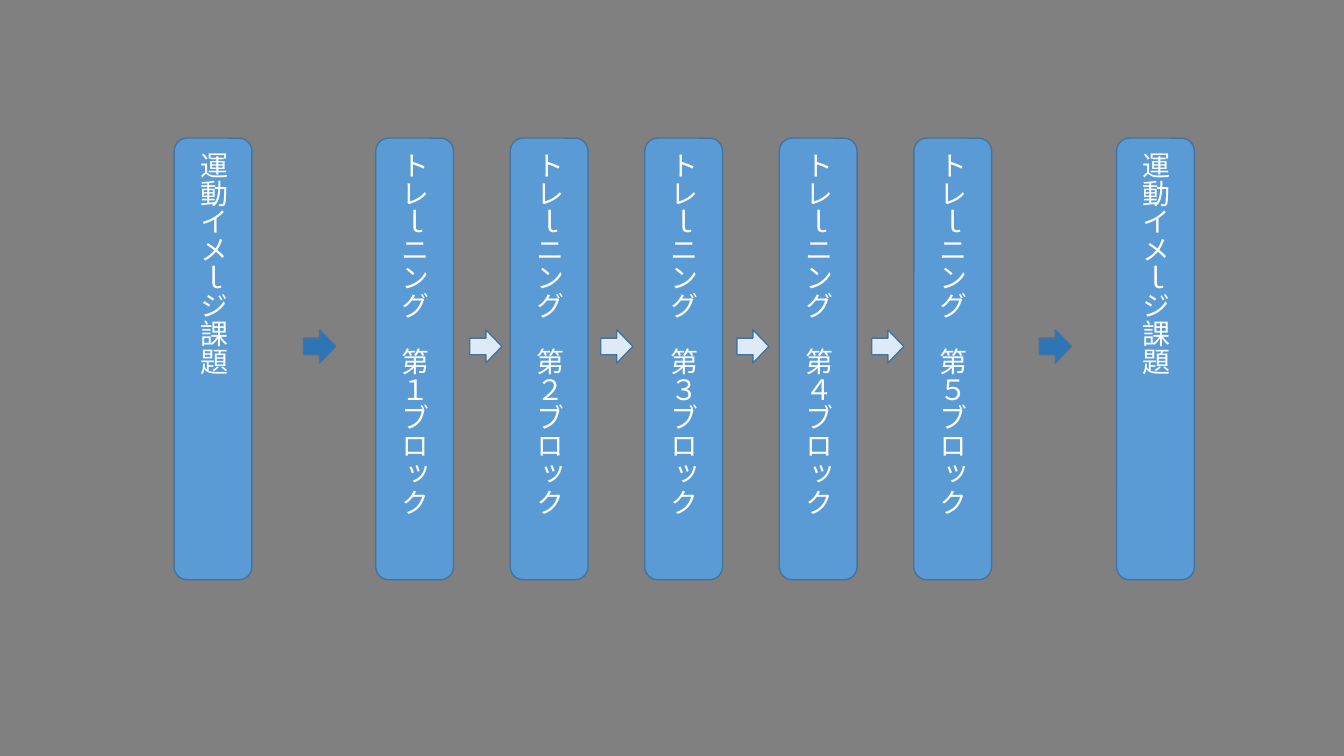
"""Builds a slide showing a training schedule as vertical blocks joined by arrows."""
from dataclasses import dataclass

from lxml import etree
from pptx import Presentation
from pptx.dml.color import RGBColor
from pptx.enum.shapes import MSO_SHAPE
from pptx.enum.text import MSO_ANCHOR, PP_ALIGN
from pptx.oxml.ns import qn
from pptx.util import Cm, Pt

ROUNDED = MSO_SHAPE.ROUNDED_RECTANGLE
ARROW = MSO_SHAPE.RIGHT_ARROW
MIDDLE = MSO_ANCHOR.MIDDLE
CENTER = PP_ALIGN.CENTER


@dataclass(frozen=True)
class Theme:
    background: RGBColor = RGBColor.from_string("808080")
    block: RGBColor = RGBColor.from_string("5B9BD5")
    outline: RGBColor = RGBColor.from_string("43739E")
    phase_arrow: RGBColor = RGBColor.from_string("2E75B6")
    block_arrow: RGBColor = RGBColor.from_string("DEEBF7")
    text: RGBColor = RGBColor.from_string("FFFFFF")
    font: str = "Noto Sans CJK JP"
    size: Pt = Pt(20)
    line: Pt = Pt(1)


theme = Theme()


def add_outlined(slide, kind, left, top, width, height, color):
    shape = slide.shapes.add_shape(kind, Cm(left), Cm(top), Cm(width), Cm(height))
    shape.shadow.inherit = False
    shape.fill.solid()
    shape.fill.fore_color.rgb = color
    shape.line.color.rgb = theme.outline
    shape.line.width = theme.line
    return shape


presentation = Presentation()
presentation.slide_width = Cm(33.87)
presentation.slide_height = Cm(19.05)
slide = presentation.slides.add_slide(presentation.slide_layouts[6])
slide.background.fill.solid()
slide.background.fill.fore_color.rgb = theme.background

imagery_task = "運動イメｌジ課題"
blocks = [(4.39, imagery_task), (28.14, imagery_task)]
blocks += [
    (9.47 + 3.39 * index, f"トレｌニング　第{number}ブロック")
    for index, number in enumerate("１２３４５")
]
for left, label in blocks:
    block = add_outlined(slide, ROUNDED, left, 3.48, 1.96, 11.13, theme.block)
    frame = block.text_frame
    frame.word_wrap = True
    frame.vertical_anchor = MIDDLE
    block.element.txBody.find(qn("a:bodyPr")).set("vert", "eaVert")
    paragraph = frame.paragraphs[0]
    paragraph.alignment = CENTER
    run = paragraph.add_run()
    run.text = label
    run.font.size = theme.size
    run.font.name = theme.font
    run.font.color.rgb = theme.text
    properties = run.font._element
    etree.SubElement(properties, qn("a:ea"), typeface=theme.font)

arrow_groups = [
    (theme.phase_arrow, (7.65, 26.19)),
    (theme.block_arrow, (11.84, 15.14, 18.57, 21.97)),
]
for color, lefts in arrow_groups:
    for left in lefts:
        add_outlined(slide, ARROW, left, 8.31, 0.81, 0.84, color)

presentation.save("out.pptx")
